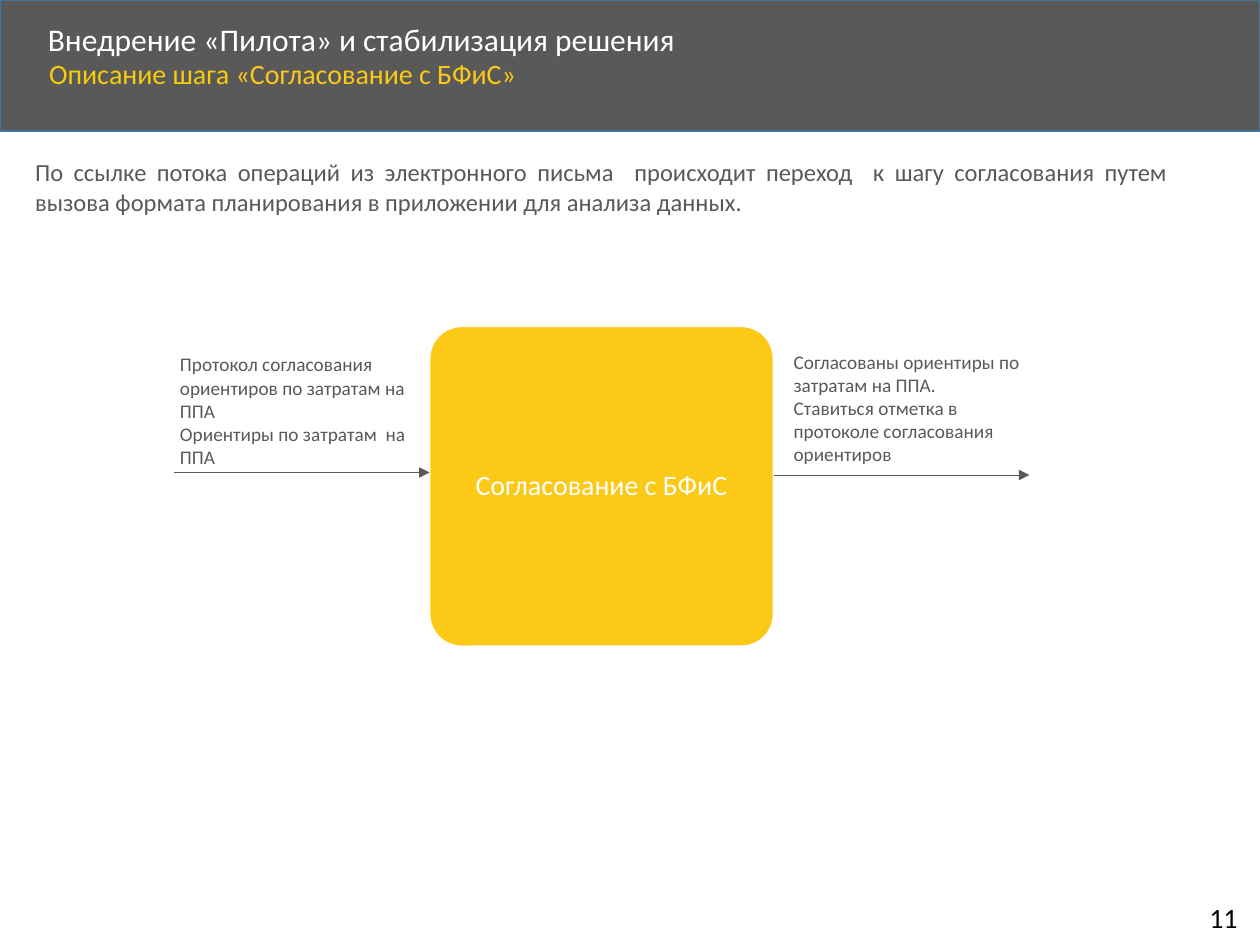
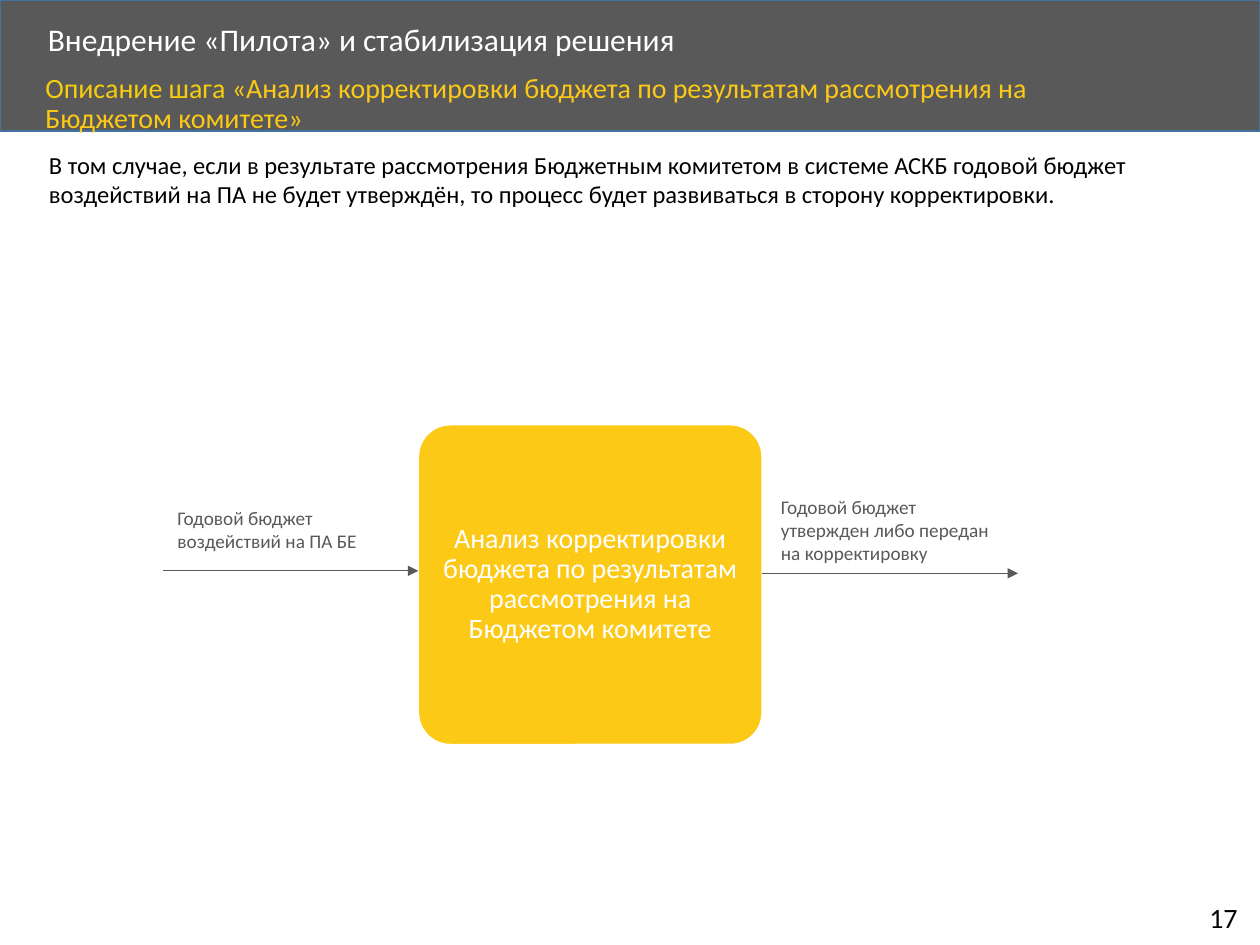
from dataclasses import dataclass

from pptx import Presentation
from pptx import util as u
from pptx.dml.color import RGBColor
from pptx.enum import shapes, text
from pptx.oxml import ns, xmlchemy

GRAY = RGBColor(0x59, 0x59, 0x59)
BAND_LINE = RGBColor(0x43, 0x73, 0x9E)
GOLD = RGBColor(0xF6, 0xCC, 0x0C)
YELLOW = RGBColor(0xFC, 0xC9, 0x17)
WHITE = RGBColor(0xFF, 0xFF, 0xFF)
BLACK = RGBColor(0, 0, 0)
FONT = "Calibri"

SECTION_TITLE = "Внедрение «Пилота» и стабилизация решения"
STEP_PREFIX = "Описание шага "
BOX_WIDTH, BOX_HEIGHT = 2.73, 2.54
ARROW_LENGTH = 2.03
INPUT_DROP, OUTPUT_DROP = 1.16, 1.18
LABEL_WIDTH = 2


@dataclass(frozen=True)
class Area:
    left: float
    top: float
    width: float
    height: float

    def lengths(self) -> tuple:
        return tuple(u.Inches(value) for value in (self.left, self.top, self.width, self.height))


@dataclass(frozen=True)
class Note:
    area: Area
    paragraphs: tuple[str, ...]
    size: int = 11
    color: RGBColor = GRAY
    align: text.PP_ALIGN = text.PP_ALIGN.LEFT
    wrap: bool = True


@dataclass(frozen=True)
class Step:
    number: str
    name: str
    heading: Area
    box_left: float
    box_top: float
    notes: tuple[Note, ...]


STEPS = (
    Step(
        "11", "Согласование с БФиС", Area(0.29, 0.43, 8.67, 0.45), 3.41, 2.59,
        (
            Note(Area(0.18, 1.2, 9.19, 0.57),
                 ("По ссылке потока операций из электронного письма  происходит переход  "
                  "к шагу согласования путем вызова формата планирования в приложении "
                  "для анализа данных.",),
                 size=14, align=text.PP_ALIGN.JUSTIFY),
            Note(Area(1.33, 2.75, LABEL_WIDTH, 1.03),
                 ("Протокол согласования ориентиров по затратам на ППА",
                  "Ориентиры по затратам  на ППА")),
            Note(Area(6.2, 2.73, LABEL_WIDTH, 1.03),
                 ("Согласованы ориентиры по затратам на ППА.",
                  "Ставиться отметка в протоколе согласования ориентиров")),
        ),
    ),
    Step(
        "17", "Анализ корректировки бюджета по результатам рассмотрения на Бюджетом комитете",
        Area(0.26, 0.54, 8.67, 0.45), 3.32, 3.37,
        (
            Note(Area(0.29, 1.14, 9.46, 0.57),
                 ("В том случае, если в результате рассмотрения Бюджетным комитетом в системе "
                  "АСКБ годовой бюджет воздействий на ПА не будет утверждён, то процесс будет "
                  "развиваться в сторону корректировки.",),
                 size=14, color=BLACK),
            Note(Area(1.31, 3.97, LABEL_WIDTH, 0.47), ("Годовой бюджет воздействий на ПА БЕ",)),
            Note(Area(6.1, 3.88, LABEL_WIDTH, 0.66),
                 ("Годовой бюджет утвержден либо передан на корректировку",)),
        ),
    ),
)


def style_font(font, size: int, color: RGBColor) -> None:
    font.name = FONT
    font.size = u.Pt(size)
    font.color.rgb = color


def add_filled_shape(slide, kind, area: Area, fill: RGBColor, line: RGBColor):
    shape = slide.shapes.add_shape(kind, *area.lengths())
    shape.shadow.inherit = False
    shape.fill.solid()
    shape.fill.fore_color.rgb = fill
    shape.line.color.rgb = line
    shape.line.width = u.Pt(1)
    return shape


def add_band(slide) -> None:
    band = add_filled_shape(slide, shapes.MSO_SHAPE.RECTANGLE, Area(0, 0, 10, 1.04), GRAY, BAND_LINE)
    slide.shapes._spTree.insert(2, band._element)


def place_heading(placeholder, area: Area, anchor, runs: tuple, size: int) -> None:
    placeholder.left, placeholder.top, placeholder.width, placeholder.height = area.lengths()
    frame = placeholder.text_frame
    frame.auto_size = text.MSO_AUTO_SIZE.NONE
    frame.vertical_anchor = anchor
    paragraph = frame.paragraphs[0]
    paragraph.alignment = text.PP_ALIGN.LEFT
    paragraph.line_spacing = 0.9
    paragraph.space_before = u.Pt(0)
    properties = paragraph._p.get_or_add_pPr()
    properties.set("marL", "0")
    properties.set("indent", "0")
    properties.append(xmlchemy.OxmlElement("a:buNone"))
    for wording, color in runs:
        run = paragraph.add_run()
        run.text = wording
        style_font(run.font, size, color)


def add_note(slide, note: Note) -> None:
    frame = slide.shapes.add_textbox(*note.area.lengths()).text_frame
    frame.word_wrap = note.wrap
    frame.text = "\n".join(note.paragraphs)
    for paragraph in frame.paragraphs:
        paragraph.alignment = note.align
        for run in paragraph.runs:
            style_font(run.font, note.size, note.color)


def add_step_box(slide, step: Step) -> None:
    area = Area(step.box_left, step.box_top, BOX_WIDTH, BOX_HEIGHT)
    box = add_filled_shape(slide, shapes.MSO_SHAPE.ROUNDED_RECTANGLE, area, YELLOW, WHITE)
    box.adjustments[0] = 0.1
    frame = box.text_frame
    frame.margin_left = frame.margin_right = frame.margin_top = frame.margin_bottom = 0
    frame.word_wrap = True
    frame.vertical_anchor = text.MSO_ANCHOR.MIDDLE
    frame.text = step.name
    paragraph = frame.paragraphs[0]
    paragraph.alignment = text.PP_ALIGN.CENTER
    paragraph.line_spacing = 0.9
    style_font(paragraph.runs[0].font, 16, WHITE)


def add_arrow(slide, left: float, top: float) -> None:
    arrow = slide.shapes.add_connector(
        shapes.MSO_CONNECTOR.STRAIGHT,
        u.Inches(left), u.Inches(top), u.Inches(left + ARROW_LENGTH), u.Inches(top))
    arrow.line.color.rgb = GRAY
    arrow.line.width = u.Pt(0.5)
    tail = xmlchemy.OxmlElement("a:tailEnd")
    tail.set("type", "triangle")
    arrow._element.spPr.find(ns.qn("a:ln")).append(tail)
    arrow._element.spPr.append(xmlchemy.OxmlElement("a:effectLst"))


def build_slide(presentation, step: Step) -> None:
    slide = presentation.slides.add_slide(presentation.slide_layouts[1])
    add_band(slide)
    place_heading(slide.shapes.title, Area(0.28, 0.14, 8.07, 0.38), text.MSO_ANCHOR.MIDDLE,
                  ((SECTION_TITLE, WHITE),), 18)
    place_heading(slide.placeholders[1], step.heading, text.MSO_ANCHOR.TOP,
                  ((STEP_PREFIX, GOLD), (f"«{step.name}»", YELLOW)), 16)
    add_note(slide, Note(Area(9.5, 7.1, 0.46, 0.37), (step.number,), 16, BLACK, wrap=False))
    add_step_box(slide, step)
    add_arrow(slide, step.box_left - ARROW_LENGTH, step.box_top + INPUT_DROP)
    add_arrow(slide, step.box_left + BOX_WIDTH, step.box_top + OUTPUT_DROP)
    for note in step.notes:
        add_note(slide, note)


def main() -> None:
    presentation = Presentation()
    presentation.slide_width = u.Inches(10)
    presentation.slide_height = u.Inches(7.5)
    for step in STEPS:
        build_slide(presentation, step)
    presentation.save("out.pptx")


if __name__ == "__main__":
    main()
